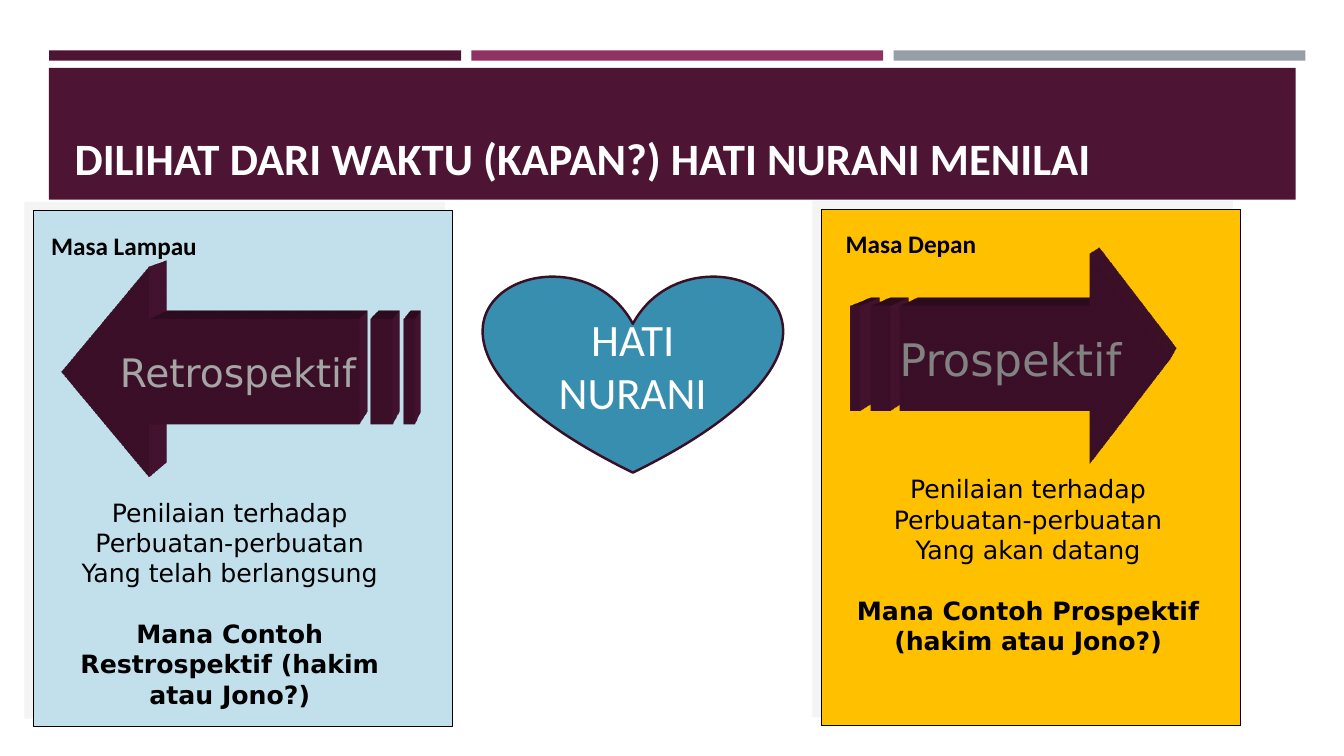
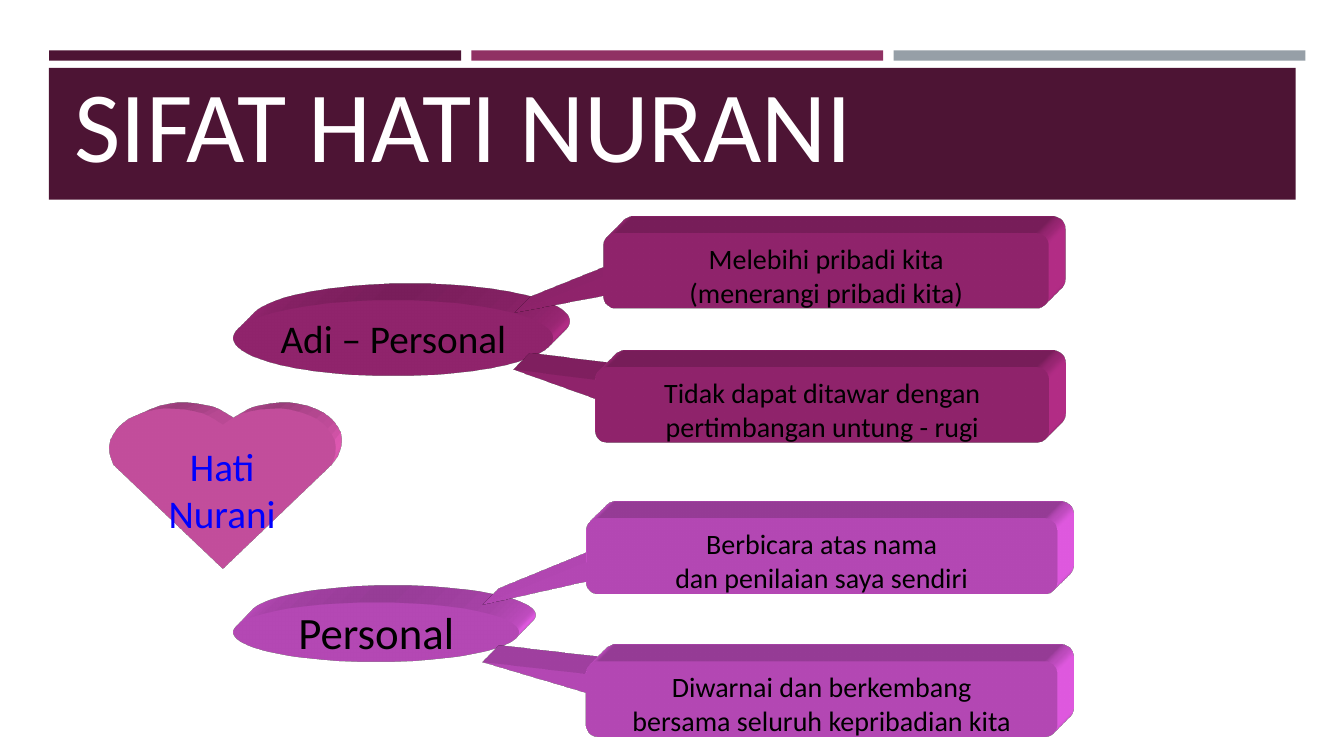
from lxml import etree
from pptx import Presentation
from pptx.dml.color import RGBColor
from pptx.enum import shapes, text
from pptx.util import Cm, Pt

PLUM = RGBColor(0x4D, 0x14, 0x34)
BERRY = RGBColor(0x90, 0x31, 0x63)
GREY = RGBColor(0x96, 0x9F, 0xA7)
TEAL = RGBColor(0x38, 0x8E, 0xAF)
DARK_PLUM = RGBColor(0x39, 0x0F, 0x26)
PALE_BLUE = RGBColor(0xC2, 0xE0, 0xEB)
AMBER = RGBColor(0xFF, 0xC0, 0x00)
SILVER = RGBColor(0xA5, 0xA5, 0xA5)
MID_GREY = RGBColor(0x82, 0x82, 0x82)
PINK = RGBColor(0xFF, 0x66, 0xCC)
MAGENTA = RGBColor(0xCC, 0x33, 0x99)
VIOLET = RGBColor(0xFF, 0x66, 0xFF)
BLUE = RGBColor(0x00, 0x00, 0xFF)
BLACK = RGBColor(0x00, 0x00, 0x00)
WHITE = RGBColor(0xFF, 0xFF, 0xFF)
A = "http://schemas.openxmlformats.org/drawingml/2006/main"
SHAPE = shapes.MSO_SHAPE
ANCHOR = text.MSO_ANCHOR
ALIGN = text.PP_ALIGN


def write(sp, lines, size, color, font="Calibri", bold=False,
          align=ALIGN.CENTER, anchor=ANCHOR.MIDDLE, wrap=True):
    tf = sp.text_frame
    tf.text = "\n".join(lines)
    tf.word_wrap = wrap
    tf.vertical_anchor = anchor
    for p in tf.paragraphs:
        p.alignment = align
        for r in p.runs:
            r.font.name, r.font.size, r.font.bold = font, Pt(size), bold
            r.font.color.rgb = color
    return tf


def style(sp, color, camera=None):
    """Plain fill without outline; a camera name adds depth."""
    sp.fill.solid()
    sp.fill.fore_color.rgb = color
    sp.line.fill.background()
    sp.shadow.inherit = False
    if camera:
        for xml in (
            f'<a:scene3d xmlns:a="{A}"><a:camera prst="{camera}"/>'
            '<a:lightRig rig="legacyFlat3" dir="b"/></a:scene3d>',
            f'<a:sp3d xmlns:a="{A}" extrusionH="430200" prstMaterial="legacyMatte">'
            f'<a:extrusionClr><a:srgbClr val="{color}"/></a:extrusionClr></a:sp3d>',
        ):
            sp.element.spPr.append(etree.fromstring(xml))


prs = Presentation()
prs.slide_width, prs.slide_height = Cm(33.87), Cm(19.05)

# Shared bars, band and title
slides = []
for title, size, bold in (
    ("DILIHAT DARI WAKTU (KAPAN?) HATI NURANI MENILAI", 32, True),
    ("SIFAT HATI NURANI", 72, False),
):
    s = prs.slides.add_slide(prs.slide_layouts[6])
    for i, color in enumerate((PLUM, BERRY, GREY)):
        bar = s.shapes.add_shape(SHAPE.RECTANGLE, Cm(1.24 + i * 10.64), Cm(1.27),
                                 Cm(10.38), Cm(0.26))
        style(bar, color)
    band = s.shapes.add_shape(SHAPE.RECTANGLE, Cm(1.23), Cm(1.71), Cm(31.42), Cm(3.32))
    style(band, PLUM)
    box = s.shapes.add_textbox(Cm(1.63), Cm(1.96), Cm(30.63), Cm(2.82))
    tf = write(box, [title], size, WHITE, bold=bold, align=ALIGN.LEFT, anchor=ANCHOR.BOTTOM)
    tf.paragraphs[0].line_spacing = 0.9
    slides.append(s)
time_slide, nature_slide = slides

# Slide 1: heart in the middle
heart = time_slide.shapes.add_shape(SHAPE.HEART, Cm(12.19), Cm(6.91), Cm(7.52), Cm(5))
style(heart, TEAL)
heart.line.color.rgb = DARK_PLUM
heart.line.width = Pt(1.75)
write(heart, ["HATI NURANI"], 32, WHITE)

# Slide 1: past and future panels
# arrow: top, tip, head base, shaft end, then the loose bars
panels = (
    (0.84, 5.31, PALE_BLUE, "Masa Lampau", 1.04, 5.69,
     (6.73, 1.55, 3.76, 9.04, ((9.32, 9.88), (10.16, 10.44))),
     "Retrospektif", 28, SILVER, 1.14, 12.4, "Yang telah berlangsung",
     "Mana Contoh Restrospektif (hakim atau Jono?)"),
    (20.7, 5.28, AMBER, "Masa Depan", 21.06, 5.64,
     (6.4, 29.49, 27.46, 22.68, ((21.95, 22.45), (21.44, 21.69))),
     "Prospektif", 32, MID_GREY, 21.26, 11.81, "Yang akan datang",
     "Mana Contoh Prospektif (hakim atau Jono?)"),
)
for (left, top, color, label, label_x, label_y, arrow, word, word_size,
     word_color, body_x, body_y, when, question) in panels:
    panel = time_slide.shapes.add_shape(SHAPE.RECTANGLE, Cm(left), Cm(top), Cm(10.57), Cm(13))
    style(panel, color)
    panel.line.color.rgb = BLACK
    panel.line.width = Pt(0.75)
    panel.element.spPr.find(f"{{{A}}}effectLst").append(etree.fromstring(
        f'<a:outerShdw xmlns:a="{A}" dist="107950" dir="13500000" algn="ctr" rotWithShape="0">'
        '<a:srgbClr val="EBEBEB"><a:alpha val="50000"/></a:srgbClr></a:outerShdw>'))

    box = time_slide.shapes.add_textbox(Cm(label_x), Cm(label_y), Cm(4.7), Cm(1.02))
    write(box, [label], 18, BLACK, bold=True, align=ALIGN.LEFT, anchor=ANCHOR.TOP, wrap=False)

    y, tip, base, tail, bars = arrow
    upper, lower = y + 1.32, y + 3.96
    outlines = [[(base, y), (base, upper), (tail, upper), (tail, lower),
                 (base, lower), (base, y + 5.28), (tip, y + 2.64)]]
    outlines += [[(a, upper), (a, lower), (b, lower), (b, upper)] for a, b in bars]
    fb = None
    for outline in outlines:
        points = [(px * 100, py * 100) for px, py in outline]
        if fb is None:
            fb = time_slide.shapes.build_freeform(*points[0], scale=Cm(0.01))
        else:
            fb.move_to(*points[0])
        fb.add_line_segments(points[1:], close=True)
    sp = fb.convert_to_shape()
    style(sp, PLUM, "legacyPerspectiveTopRight")
    write(sp, [word], word_size, word_color, font="DejaVu Sans", wrap=False)

    box = time_slide.shapes.add_textbox(Cm(body_x), Cm(body_y), Cm(9.3), Cm(5.9))
    tf = write(box, ["Penilaian terhadap", "Perbuatan-perbuatan", when, question],
               18, BLACK, font="DejaVu Sans", anchor=ANCHOR.TOP)
    p = tf.paragraphs[-1]
    p.space_before = Pt(22)
    p.runs[0].font.bold = True

# Slide 2: heart, its left half as curves and the right half mirrored
curves = (
    ((5.61, 10.72), (5.49, 10.64), (5.26, 10.49), (5.11, 10.44)),
    ((5.11, 10.44), (4.8, 10.34), (4.5, 10.31), (4.17, 10.31)),
    ((4.17, 10.31), (3.84, 10.34), (3.53, 10.41), (3.25, 10.57)),
    ((3.25, 10.57), (3.02, 10.72), (2.87, 10.92), (2.79, 11.1)),
    ((2.79, 11.1), (2.72, 11.33), (2.79, 11.53), (2.87, 11.73)),
)
half = []
for curve in curves:
    for t in (0.25, 0.5, 0.75, 1):
        weights = ((1 - t) ** 3, 3 * t * (1 - t) ** 2, 3 * t * t * (1 - t), t ** 3)
        half.append(tuple(100 * sum(w * c[k] for w, c in zip(weights, curve))
                          for k in (0, 1)))
fb = nature_slide.shapes.build_freeform(561, 1072, scale=Cm(0.01))
fb.add_line_segments(half + [(561, 1433)] + [(1120 - px, py) for px, py in reversed(half)])
sp = fb.convert_to_shape()
style(sp, PINK, "legacyPerspectiveTopRight")
write(sp, ["Hati", "Nurani"], 28, BLUE, wrap=False)

# Slide 2: the two natures
for top, width, height, color, label, size in (
    (7.57, 8.05, 1.9, MAGENTA, "Adi – Personal", 28),
    (15.19, 7.19, 1.47, VIOLET, "Personal", 32),
):
    sp = nature_slide.shapes.add_shape(SHAPE.OVAL, Cm(5.89), Cm(top), Cm(width), Cm(height))
    style(sp, color, "legacyObliqueTopRight")
    write(sp, [label], size, BLACK, wrap=False)

# Slide 2: callouts pointing at the natures
for left, top, width, color, tail_x, tail_y, lines in (
    (14.78, 13.06, 11.86, VIOLET, -0.72, 0.64,
     ["Berbicara atas nama", "dan penilaian saya sendiri"]),
    (15.21, 5.87, 11.23, MAGENTA, -0.7, 0.56,
     ["Melebihi pribadi kita", "(menerangi pribadi kita)"]),
    (14.78, 16.66, 11.86, VIOLET, -0.72, -0.49,
     ["Diwarnai dan berkembang", "bersama seluruh kepribadian kita"]),
    (15.01, 9.25, 11.43, MAGENTA, -0.68, -0.47,
     ["Tidak dapat ditawar dengan", "pertimbangan untung - rugi"]),
):
    sp = nature_slide.shapes.add_shape(SHAPE.ROUNDED_RECTANGULAR_CALLOUT,
                                       Cm(left), Cm(top), Cm(width), Cm(1.9))
    sp.adjustments[0], sp.adjustments[1] = tail_x, tail_y
    style(sp, color, "legacyObliqueTopRight")
    write(sp, lines, 20, BLACK, anchor=ANCHOR.TOP)

prs.save("out.pptx")
